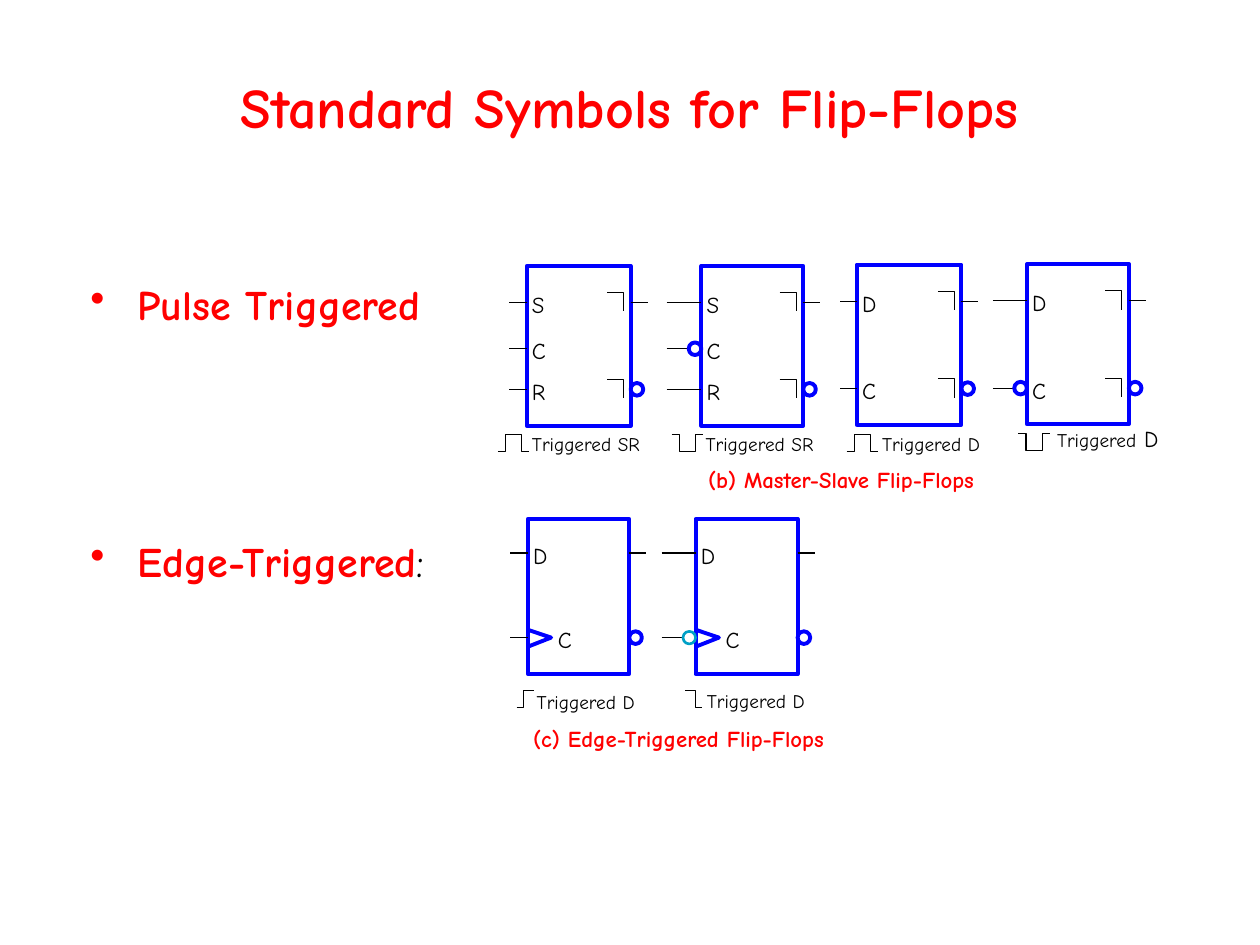
from dataclasses import dataclass
from typing import Optional

from lxml.etree import SubElement
from pptx import Presentation
from pptx.dml.color import RGBColor
from pptx.enum.shapes import MSO_CONNECTOR as Connector, MSO_SHAPE as Preset
from pptx.enum.text import MSO_ANCHOR as Anchor, PP_ALIGN as Align
from pptx.oxml.ns import qn
from pptx.util import Pt

FONT = "Comic Neue"
COLORS = {"red": "FF0000", "black": "000000", "blue": "0000FF",
          "teal": "00A0C6", "white": "FFFFFF"}
THIN, MEDIUM, THICK = 0.63, 1.5, 2.25
BUBBLE = 7.2
STUB = 9.7

# Waveform outlines, relative to their top left corner
HIGH_PULSE = [(0, 9.6), (4.3, 9.6), (4.3, 0), (13.6, 0), (13.6, 9.6), (17.8, 9.6)]
LOW_PULSE = [(x, 9.6 - y) for x, y in HIGH_PULSE]
RISING = [(0, 9.6), (3.8, 9.6), (3.8, 0), (9.8, 0)]
FALLING = [(0, 0), (5.8, 0), (5.8, 9.6), (9.4, 9.6)]
CORNER = [(-13.5, -5.6), (-4, -5.6), (-4, 5.2)]
WEDGE = [(0, -4.5), (13.3, 0), (0, 5.2)]


@dataclass(frozen=True)
class Family:
    """What all flip-flops of one kind of triggering share."""
    height: float
    rows: dict[str, float]
    edge: bool


@dataclass(frozen=True)
class FlipFlop:
    """One symbol with its leads, waveform and caption."""
    family: Family
    left: float
    top: float
    width: float
    lead: float
    inputs: str
    wave: list[tuple[float, float]]
    wave_at: tuple[float, float]
    caption: str
    caption_at: tuple[float, float]
    bubble: Optional[str] = None
    tail: str = ""


SR = Family(91.4, {"S": 20.8, "C": 47.3, "R": 70.5}, False)
PULSE_D = Family(91.4, {"D": 20.8, "C": 70.8}, False)
EDGE_D = Family(88.6, {"D": 19.4, "C": 67.8}, True)

FLIP_FLOPS = [
    FlipFlop(SR, 301, 152, 59.4, 291, "SCR", HIGH_PULSE, (284.5, 248.4),
             "Triggered SR", (304, 247)),
    FlipFlop(SR, 400.8, 152, 58.2, 381, "SCR", LOW_PULSE, (383.8, 248.4),
             "Triggered SR", (403.2, 247), "blue"),
    FlipFlop(PULSE_D, 489.6, 151.3, 59.8, 480.2, "DC", HIGH_PULSE, (483.8, 248.4),
             "Triggered D", (504, 247)),
    FlipFlop(PULSE_D, 586.8, 151, 58.3, 567.3, "DC", LOW_PULSE, (582, 247.6),
             "Triggered", (604, 242.8), "blue", " D"),
    FlipFlop(EDGE_D, 301.6, 296.6, 58, 291.6, "DC", RISING, (295.2, 394.8),
             "Triggered D", (306.7, 394.6)),
    FlipFlop(EDGE_D, 397.5, 296.6, 58.3, 378, "DC", FALLING, (391.7, 394.8),
             "Triggered D", (403.9, 393.8), "teal"),
]


def color(name):
    """Return the named colour."""
    return RGBColor.from_string(COLORS[name])


def text_frame(left: float, top: float, width: float, height: float,
               *, wrap: bool = False, inset: float = 0):
    """Add a text box and return its frame."""
    frame = slide.shapes.add_textbox(Pt(left), Pt(top), Pt(width), Pt(height)).text_frame
    frame.word_wrap = wrap
    frame.margin_left = frame.margin_right = Pt(inset)
    frame.margin_top = frame.margin_bottom = Pt(inset / 2)
    return frame


def write(paragraph, text: str, *, size: float = 13, ink: str = "black",
          bold: bool = False) -> None:
    """Append formatted text to a paragraph."""
    run = paragraph.add_run()
    run.text = text
    run.font.name, run.font.size, run.font.bold = FONT, Pt(size), bold
    run.font.color.rgb = color(ink)


def bullet(paragraph, indent: float) -> None:
    """Give a paragraph a hanging bullet."""
    properties = paragraph._p.get_or_add_pPr()
    properties.set("marL", str(Pt(indent)))
    properties.set("indent", str(-Pt(indent)))
    SubElement(properties, qn("a:buChar")).set("char", "•")


def wire(start: float, end: float, y: float) -> None:
    """Draw a horizontal lead."""
    lead = slide.shapes.add_connector(Connector.STRAIGHT, Pt(start), Pt(y), Pt(end), Pt(y))
    lead.line.width = Pt(THIN)
    lead.line.color.rgb = color("black")
    SubElement(lead._element.spPr, qn("a:effectLst"))


def outline(shape, ink: str, weight: float) -> None:
    """Set the line of a shape and drop its shadow."""
    shape.shadow.inherit = False
    shape.line.color.rgb = color(ink)
    shape.line.width = Pt(weight)


def trace(points: list[tuple[float, float]], x: float, y: float,
          *, ink: str = "black", weight: float = THIN) -> None:
    """Draw an open path with its origin at x, y."""
    corners = [(Pt(x + dx), Pt(y + dy)) for dx, dy in points]
    builder = slide.shapes.build_freeform(*corners[0])
    builder.add_line_segments(corners[1:], close=False)
    path = builder.convert_to_shape()
    path.fill.background()
    outline(path, ink, weight)


def solid(preset, left: float, top: float, width: float, height: float,
          *, ink: str = "blue", weight: float = THICK) -> None:
    """Draw a white preset shape with a coloured line."""
    shape = slide.shapes.add_shape(preset, Pt(left), Pt(top), Pt(width), Pt(height))
    shape.fill.solid()
    shape.fill.fore_color.rgb = color("white")
    outline(shape, ink, weight)


def draw_inputs(symbol: FlipFlop) -> None:
    """Draw the input leads, their letters and the clock marks."""
    for name in symbol.inputs:
        y = symbol.top + symbol.family.rows[name]
        clock = name == "C"
        inverted = clock and symbol.bubble is not None
        wire(symbol.lead, symbol.left - (BUBBLE if inverted else 0), y)
        if inverted:
            solid(Preset.OVAL, symbol.left - BUBBLE, y - BUBBLE / 2, BUBBLE, BUBBLE,
                  ink=symbol.bubble, weight=MEDIUM if symbol.family.edge else THICK)
        wedge = clock and symbol.family.edge
        if wedge:
            trace(WEDGE, symbol.left, y, ink="blue", weight=THICK)
        letter = text_frame(symbol.left + (17.2 if wedge else 3), y - 6.6, 9, 16)
        write(letter.paragraphs[0], name)


def draw_flip_flop(symbol: FlipFlop) -> None:
    """Draw one complete flip-flop symbol."""
    family = symbol.family
    right = symbol.left + symbol.width
    solid(Preset.RECTANGLE, symbol.left, symbol.top, symbol.width, family.height)
    draw_inputs(symbol)
    rows = [symbol.top + family.rows[symbol.inputs[i]] for i in (0, -1)]
    wire(right, right + STUB, rows[0])
    solid(Preset.OVAL, right, rows[1] - BUBBLE / 2, BUBBLE, BUBBLE)
    if not family.edge:
        for y in rows:
            trace(CORNER, right, y)
    trace(symbol.wave, *symbol.wave_at)
    caption = text_frame(*symbol.caption_at, 68, 14).paragraphs[0]
    write(caption, symbol.caption, size=11)
    if symbol.tail:
        write(caption, symbol.tail)


deck = Presentation()
deck.slide_width, deck.slide_height = Pt(720), Pt(540)
slide = deck.slides.add_slide(deck.slide_layouts[6])

title = text_frame(36, 21.6, 648, 78.5, wrap=True, inset=7.2)
title.vertical_anchor = Anchor.MIDDLE
title.paragraphs[0].alignment = Align.CENTER
write(title.paragraphs[0], "Standard Symbols for Flip-Flops", size=32, ink="red", bold=True)

topics = text_frame(44.6, 15, 612, 396, wrap=True, inset=7.2)
topics.margin_top = Pt(144)
pulse, edge = topics.paragraphs[0], topics.add_paragraph()
edge.space_before = Pt(118)
for topic, name in ((pulse, "Pulse Triggered"), (edge, "Edge-Triggered")):
    bullet(topic, 27)
    write(topic, name, size=24, ink="red", bold=True)
write(edge, ":", size=24)

for flip_flop in FLIP_FLOPS:
    draw_flip_flop(flip_flop)

for left, top, width, heading in ((404.6, 266.4, 178, "(b) Master-Slave Flip-Flops"),
                                  (304.6, 414, 189, "(c) Edge-Triggered Flip-Flops")):
    write(text_frame(left, top, width, 16).paragraphs[0], heading, ink="red", bold=True)

deck.save("out.pptx")
